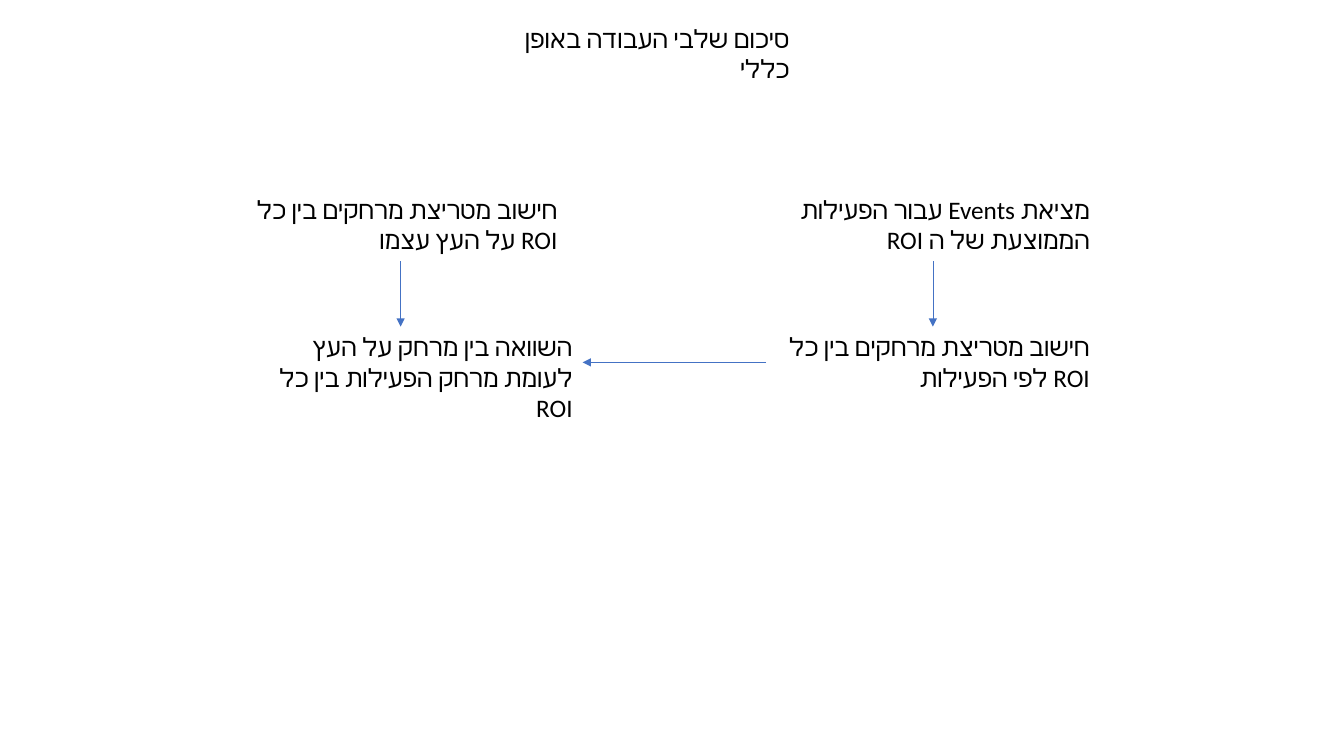
from dataclasses import dataclass

from lxml import etree
from pptx import Presentation
from pptx.dml.color import RGBColor
from pptx.enum.shapes import MSO_CONNECTOR
from pptx.enum.text import MSO_AUTO_SIZE, PP_ALIGN
from pptx.oxml.ns import qn
from pptx.slide import Slide
from pptx.util import Pt

STRAIGHT = MSO_CONNECTOR.STRAIGHT
GROW = MSO_AUTO_SIZE.SHAPE_TO_FIT_TEXT
RIGHT = PP_ALIGN.RIGHT

FONT = "Calibri"
TEXT_FORMAT = {"name": FONT, "size": Pt(18)}
BLACK, BLUE = "000000", "4472C4"

# Grid, in points
STEP_WIDTH = 238.3
STEP_HEIGHT = 51.1  # two lines of text
TREE_LEFT, COMPARE_LEFT, ACTIVITY_LEFT = 167.0, 177.8, 547.2
TOP_ROW, BOTTOM_ROW = 135.4, 233.3


@dataclass(frozen=True)
class Step:
    left: float
    top: float
    height: float
    paragraphs: tuple[str, ...]


@dataclass(frozen=True)
class Arrow:
    start: tuple[float, float]
    end: tuple[float, float]


def color(hex_value: str) -> RGBColor:
    return RGBColor.from_string(hex_value)


def draw_step(slide: Slide, step: Step) -> None:
    box = slide.shapes.add_textbox(
        Pt(step.left), Pt(step.top), Pt(STEP_WIDTH), Pt(step.height))
    frame = box.text_frame
    frame.word_wrap = True
    frame.auto_size = GROW
    frame.text = "\n".join(step.paragraphs)
    for paragraph in frame.paragraphs:
        paragraph.alignment = RIGHT
        paragraph._p.get_or_add_pPr().set("rtl", "1")
        for run in paragraph.runs:
            for attribute, value in TEXT_FORMAT.items():
                setattr(run.font, attribute, value)
            run.font.color.rgb = color(BLACK)
            # Hebrew takes the complex-script font
            etree.SubElement(run._r.get_or_add_rPr(), qn("a:cs"), typeface=FONT)


def draw_arrow(slide: Slide, arrow: Arrow) -> None:
    connector = slide.shapes.add_connector(
        STRAIGHT, *(Pt(value) for value in arrow.start + arrow.end))
    connector.line.color.rgb = color(BLUE)
    connector.line.width = Pt(0.5)
    etree.SubElement(connector.line._get_or_add_ln(), qn("a:tailEnd"), type="triangle")
    etree.SubElement(connector._element.spPr, qn("a:effectLst"))


def down_arrow(column_left: float) -> Arrow:
    """Arrow from the top row to the bottom row at a column's centre."""
    center = column_left + STEP_WIDTH / 2
    return Arrow((center, TOP_ROW + STEP_HEIGHT), (center, BOTTOM_ROW))


STEPS = (
    # Title
    Step(332.6, 13, 29, ("סיכום שלבי העבודה באופן כללי",)),
    # Tree distances
    Step(TREE_LEFT, TOP_ROW, STEP_HEIGHT,
         ("חישוב מטריצת מרחקים בין כל ROI על העץ עצמו",)),
    # Activity events and distances
    Step(ACTIVITY_LEFT, TOP_ROW, STEP_HEIGHT,
         ("מציאת Events עבור הפעילות", "הממוצעת של ה ROI")),
    Step(ACTIVITY_LEFT, BOTTOM_ROW, STEP_HEIGHT,
         ("חישוב מטריצת מרחקים בין כל ROI לפי הפעילות",)),
    # Comparison of both
    Step(COMPARE_LEFT, BOTTOM_ROW, 72.7,
         ("השוואה בין מרחק על העץ לעומת מרחק הפעילות בין כל ROI",)),
)

COMPARE_Y = BOTTOM_ROW + STEP_HEIGHT / 2
ARROWS = (
    down_arrow(TREE_LEFT),
    down_arrow(ACTIVITY_LEFT),
    Arrow((ACTIVITY_LEFT, COMPARE_Y), (COMPARE_LEFT + STEP_WIDTH, COMPARE_Y)),
)

presentation = Presentation()
presentation.slide_width, presentation.slide_height = Pt(960), Pt(540)
summary = presentation.slides.add_slide(presentation.slide_layouts[6])

for step in STEPS:
    draw_step(summary, step)
for arrow in ARROWS:
    draw_arrow(summary, arrow)

presentation.save("out.pptx")
